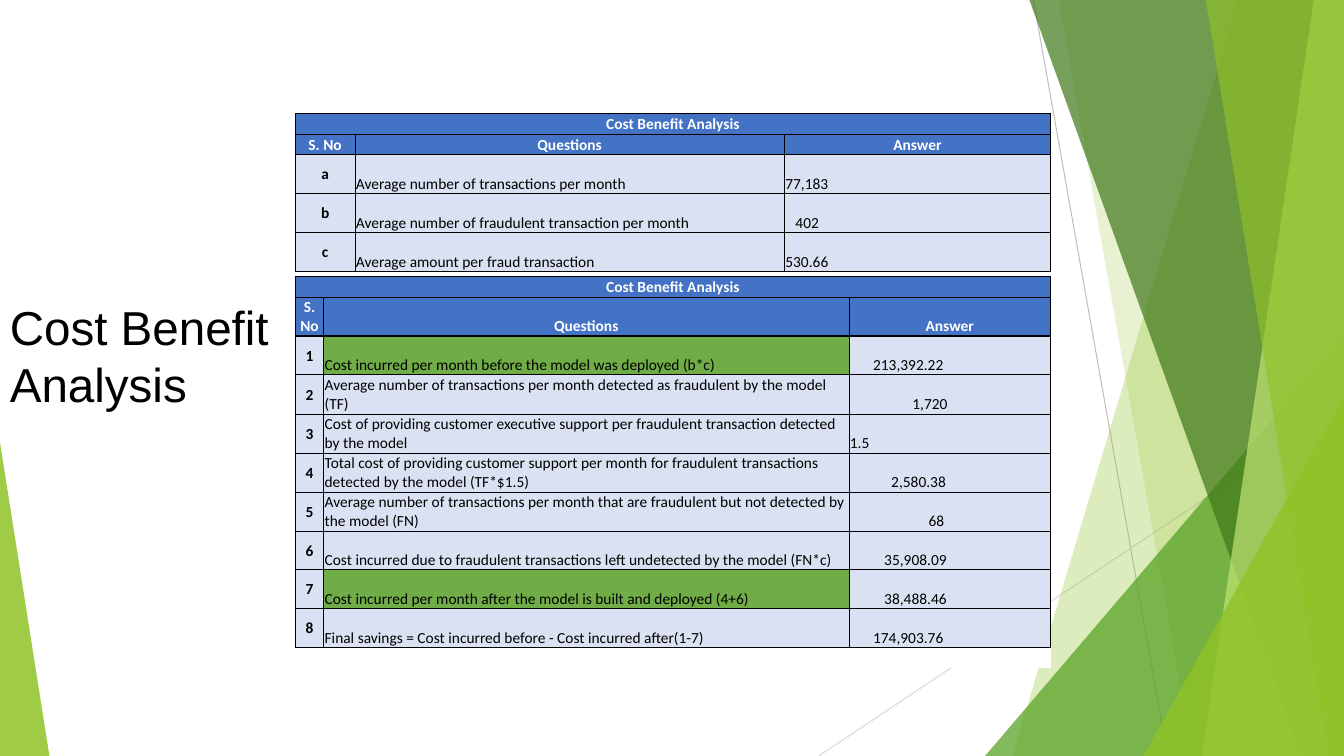
from lxml import etree
from pptx import Presentation
from pptx.dml.color import RGBColor
from pptx.enum.shapes import MSO_CONNECTOR, MSO_SHAPE
from pptx.enum.text import MSO_ANCHOR, PP_ALIGN
from pptx.oxml.ns import qn
from pptx.util import Inches, Pt

WIDTH, HEIGHT = 13.33, 7.5
BLACK = RGBColor(0x00, 0x00, 0x00)
WHITE = RGBColor(0xFF, 0xFF, 0xFF)
HEADER_BLUE = RGBColor(0x44, 0x72, 0xC4)
ROW_BLUE = RGBColor(0xD9, 0xE1, 0xF2)
KEY_GREEN = RGBColor(0x70, 0xAD, 0x47)
LIME = RGBColor(0x90, 0xC2, 0x26)
GREEN = RGBColor(0x54, 0xA0, 0x21)
FOREST = RGBColor(0x3F, 0x78, 0x19)
PALE_LIME = RGBColor(0xC0, 0xE4, 0x74)
GREY = RGBColor(0xBF, 0xBF, 0xBF)
LIGHT_GREY = RGBColor(0xD9, 0xD9, 0xD9)

TITLE = "Cost Benefit Analysis"
HEADINGS = ["S. No", "Questions", "Answer"]

# Number, question, answer, answer indent in inches
BASE_ROWS = [
    ("a", "Average number of transactions per month", "77,183", 0.01),
    ("b", "Average number of fraudulent transaction per month", "402", 0.11),
    ("c", "Average amount per fraud transaction", "530.66", 0.01),
]
MODEL_ROWS = [
    ("1", "Cost incurred per month before the model was deployed (b*c)", "213,392.22", 0.24),
    ("2", "Average number of transactions per month detected as fraudulent by the model (TF)",
     "1,720", 0.63),
    ("3", "Cost of providing customer executive support per fraudulent transaction detected "
          "by the model", "1.5", 0.01),
    ("4", "Total cost of providing customer support per month for fraudulent transactions "
          "detected by the model (TF*$1.5)", "2,580.38", 0.42),
    ("5", "Average number of transactions per month that are fraudulent but not detected by "
          "the model (FN)", "68", 0.79),
    ("6", "Cost incurred due to fraudulent transactions left undetected by the model (FN*c)",
     "35,908.09", 0.35),
    ("7", "Cost incurred per month after the model is built and deployed (4+6)",
     "38,488.46", 0.35),
    ("8", "Final savings = Cost incurred before - Cost incurred after(1-7)",
     "174,903.76", 0.24),
]
KEY_NUMBERS = {"1", "7"}

RAYS = [((10.25, 0), (11.58, HEIGHT), GREY), ((WIDTH, 4.03), (8.12, HEIGHT), LIGHT_GREY)]
# Bands reach the right edge: top left x, bottom left x, colour, opacity in percent
BACK_BANDS = [(12.28, 10.04, LIME, 30), (10.5, 11.83, LIME, 20)]
FRONT_BANDS = [(10.21, 12.91, FOREST, 70), (13.03, 11.92, PALE_LIME, 70),
               (11.96, 13.18, LIME, 65)]
# Triangles stand on the bottom edge: left, top, width, apex share, colour, opacity
MIDDLE_TRIANGLE = (9.77, 3.33, 3.56, 1, GREEN, 72)
CORNER_TRIANGLES = [(11.34, 3.93, 1.99, 1, LIME, 80), (0, 4.39, 0.49, 0, LIME, 85)]

LINE_HEIGHT, TWO_LINE_HEIGHT = Pt(14.6), Pt(27.75)
THIN, THICK = 0.5, 1

# The block of headings and rows starts at first_row, first_column; cells around it are empty
MODEL_TABLE = {"left": 2.93, "top": 2.54, "columns": [0.28, 5.21, 2], "rows": MODEL_ROWS,
               "first_row": 1, "first_column": 0, "heading_height": TWO_LINE_HEIGHT,
               "blank_fill": WHITE}
BASE_TABLE = {"left": 2.68, "top": 1.13, "columns": [0.25, 0.59, 4.26, 2.64, 0.59],
              "rows": BASE_ROWS, "first_row": 0, "first_column": 1,
              "heading_height": LINE_HEIGHT, "blank_fill": None}


def paint(shape, colour, opacity):
    shape.shadow.inherit = False
    shape.line.fill.background()
    shape.fill.solid()
    shape.fill.fore_color.rgb = colour
    colour_node = shape.fill._xPr.find(qn("a:solidFill"))[0]
    etree.SubElement(colour_node, qn("a:alpha"), val=str(opacity * 1000))


def add_ray(shapes, start, end, colour):
    ray = shapes.add_connector(MSO_CONNECTOR.STRAIGHT, *map(Inches, start + end))
    ray.line.color.rgb = colour
    ray.line.width = Pt(0.75)
    etree.SubElement(ray._element.spPr, qn("a:effectLst"))


def add_band(shapes, top_x, bottom_x, colour, opacity):
    builder = shapes.build_freeform(Inches(top_x), 0)
    corners = [(WIDTH, 0), (WIDTH, HEIGHT), (bottom_x, HEIGHT)]
    builder.add_line_segments([(Inches(x), Inches(y)) for x, y in corners], close=True)
    paint(builder.convert_to_shape(), colour, opacity)


def add_triangle(shapes, left, top, width, apex, colour, opacity):
    triangle = shapes.add_shape(MSO_SHAPE.ISOSCELES_TRIANGLE, Inches(left), Inches(top),
                                Inches(width), Inches(HEIGHT - top))
    triangle.adjustments[0] = apex
    paint(triangle, colour, opacity)


def set_borders(cell, widths):
    """Draw black cell borders; widths maps L, R, T and B to points."""
    properties = cell._tc.get_or_add_tcPr()
    for index, side in enumerate("LRTB"):
        points = widths.get(side, 0)
        border = etree.Element(qn(f"a:ln{side}"), w=str(Pt(points)))
        if points:
            fill = etree.SubElement(border, qn("a:solidFill"))
            etree.SubElement(fill, qn("a:srgbClr"), val=str(BLACK))
        else:
            etree.SubElement(border, qn("a:noFill"))
        properties.insert(index, border)


def fill_cell(cell, text, fill, colour=BLACK, bold=False, centred=False,
              anchor=MSO_ANCHOR.BOTTOM, indent=0.01):
    if fill is None:
        cell.fill.background()
    else:
        cell.fill.solid()
        cell.fill.fore_color.rgb = fill
    margins = {"margin_left": indent, "margin_right": 0.01, "margin_top": 0.01,
               "margin_bottom": 0}
    for name, inches in margins.items():
        setattr(cell, name, Inches(inches))
    cell.vertical_anchor = anchor
    paragraph = cell.text_frame.paragraphs[0]
    paragraph.alignment = PP_ALIGN.CENTER if centred else PP_ALIGN.LEFT
    paragraph.font.size = Pt(11)
    if text:
        run = paragraph.add_run()
        run.text = text
        font_values = {"name": "Calibri", "size": Pt(11), "bold": bold}
        for name, value in font_values.items():
            setattr(run.font, name, value)
        run.font.color.rgb = colour


def fill_headings(title_cells, heading_cells):
    header = {"fill": HEADER_BLUE, "colour": WHITE, "bold": True, "centred": True}
    last = len(HEADINGS) - 1
    for index, heading in enumerate(HEADINGS):
        fill_cell(title_cells[index], "" if index else TITLE, anchor=MSO_ANCHOR.MIDDLE,
                  **header)
        fill_cell(heading_cells[index], heading,
                  anchor=MSO_ANCHOR.BOTTOM if index else MSO_ANCHOR.MIDDLE, **header)
        set_borders(title_cells[index], {"L": THICK, "R": THICK, "T": THICK, "B": THIN})
        set_borders(heading_cells[index], {"L": THIN if index else THICK, "T": THIN,
                                           "R": THICK if index == last else THIN,
                                           "B": THICK})
    title_cells[0].merge(title_cells[last])


def fill_row(cells, number, question, answer, indent):
    fill_cell(cells[0], number, ROW_BLUE, bold=True, centred=True, anchor=MSO_ANCHOR.MIDDLE)
    fill_cell(cells[1], question, KEY_GREEN if number in KEY_NUMBERS else ROW_BLUE)
    fill_cell(cells[2], answer, ROW_BLUE, indent=indent)
    for cell in cells:
        set_borders(cell, dict.fromkeys("LRTB", THIN))


def add_cost_table(shapes, left, top, columns, rows, first_row, first_column,
                   heading_height, blank_fill):
    heights = [LINE_HEIGHT] * (first_row + 1) + [heading_height]
    heights += [TWO_LINE_HEIGHT] * len(rows) + [LINE_HEIGHT]
    table = shapes.add_table(len(heights), len(columns), Inches(left), Inches(top),
                             Inches(sum(columns)), sum(heights)).table
    table.first_row = table.horz_banding = False
    for column, width in zip(table.columns, columns):
        column.width = Inches(width)
    for row, height in zip(table.rows, heights):
        row.height = height

    block_rows = range(first_row, len(heights) - 1)
    block_columns = range(first_column, first_column + len(HEADINGS))
    block = [[table.cell(row, column) for column in block_columns] for row in block_rows]
    for row in range(len(heights)):
        for column in range(len(columns)):
            if row not in block_rows or column not in block_columns:
                fill_cell(table.cell(row, column), "", blank_fill)
                set_borders(table.cell(row, column), {})
    fill_headings(*block[:2])
    for cells, values in zip(block[2:], rows):
        fill_row(cells, *values)


def add_title(shapes):
    box = shapes.add_textbox(0, Inches(2), Inches(3.37), Inches(2.14))
    frame = box.text_frame
    frame.word_wrap = True
    frame.vertical_anchor = MSO_ANCHOR.BOTTOM
    run = frame.paragraphs[0].add_run()
    run.text = TITLE
    run.font.name = "Arial"
    run.font.size = Pt(34)
    run.font.color.rgb = BLACK


def main():
    presentation = Presentation()
    presentation.slide_width = Inches(WIDTH)
    presentation.slide_height = Inches(HEIGHT)
    shapes = presentation.slides.add_slide(presentation.slide_layouts[6]).shapes
    for ray in RAYS:
        add_ray(shapes, *ray)
    for band in BACK_BANDS:
        add_band(shapes, *band)
    add_triangle(shapes, *MIDDLE_TRIANGLE)
    for band in FRONT_BANDS:
        add_band(shapes, *band)
    for triangle in CORNER_TRIANGLES:
        add_triangle(shapes, *triangle)
    for table in (MODEL_TABLE, BASE_TABLE):
        add_cost_table(shapes, **table)
    add_title(shapes)
    presentation.save("out.pptx")


if __name__ == "__main__":
    main()
